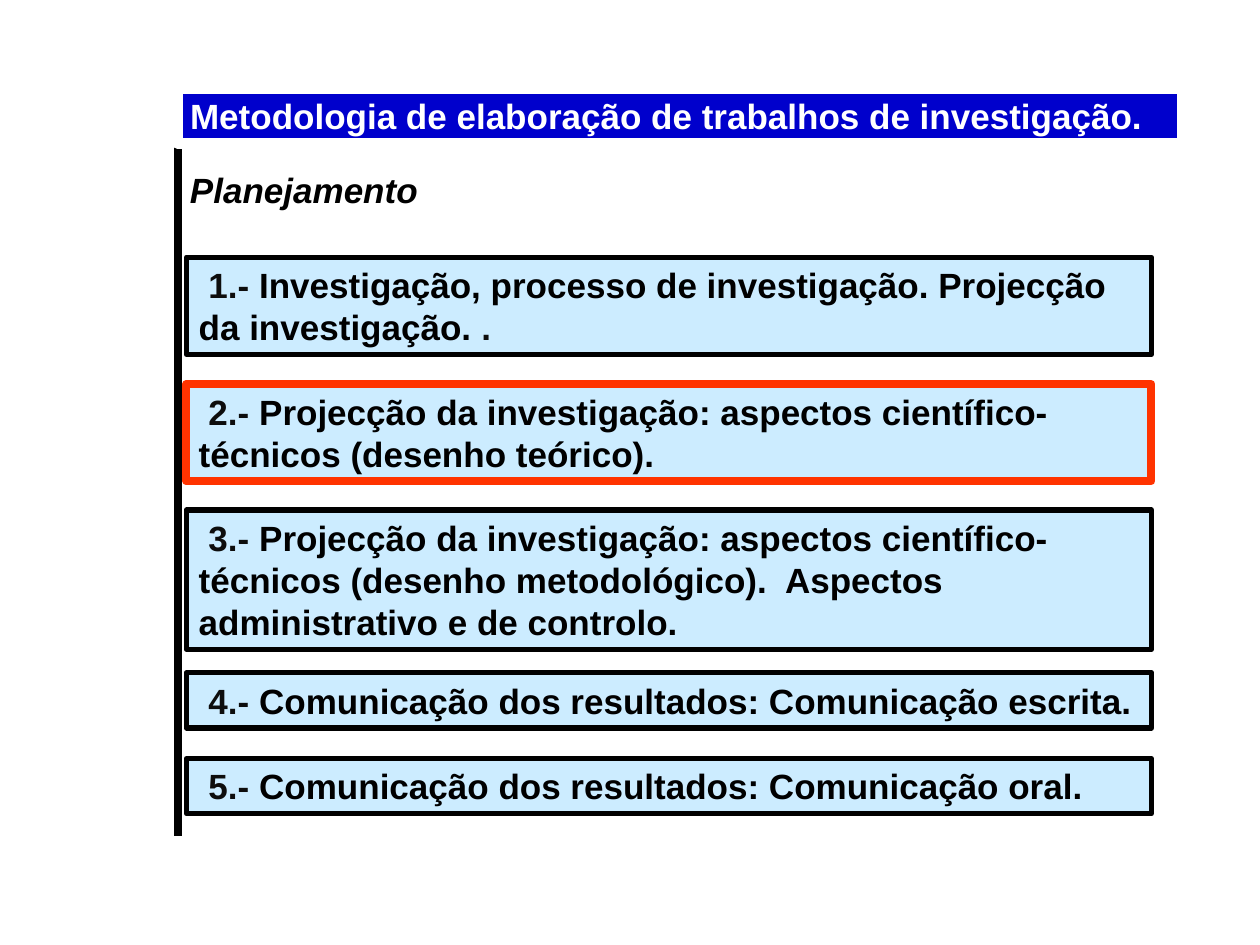
from dataclasses import dataclass

from lxml.etree import SubElement
from pptx import Presentation
from pptx.dml.color import RGBColor
from pptx.enum.shapes import MSO_CONNECTOR, MSO_SHAPE
from pptx.enum.text import MSO_ANCHOR, MSO_AUTO_SIZE, PP_ALIGN
from pptx.oxml.ns import qn
from pptx.util import Pt


@dataclass(frozen=True)
class Theme:
    font: str = "Arial"
    text_size: float = 20
    black: str = "000000"
    number: str = "0D0D0D"
    white: str = "FFFFFF"
    banner: str = "0000CC"
    topic: str = "CCECFF"
    highlight: str = "FF3300"
    topic_border: float = 3
    strong_border: float = 4.5
    banner_border: float = 6


def color(value):
    return RGBColor.from_string(value)


def write_text(shape, runs, theme, italic=False, anchor=MSO_ANCHOR.TOP, wrap=True):
    """Fill the shape with one bold paragraph made of (text, color) runs."""
    frame = shape.text_frame
    frame.word_wrap = wrap
    frame.auto_size = MSO_AUTO_SIZE.SHAPE_TO_FIT_TEXT
    frame.vertical_anchor = anchor
    paragraph = frame.paragraphs[0]
    paragraph.alignment = PP_ALIGN.LEFT
    for text, text_color in runs:
        run = paragraph.add_run()
        run.text = text
        run.font.name = theme.font
        run.font.size = Pt(theme.text_size)
        run.font.bold = True
        run.font.italic = italic
        run.font.color.rgb = color(text_color)


class SlideBuilder:
    def __init__(self, slide, theme):
        self.slide = slide
        self.theme = theme

    def box(self, left, top, width, height, border, border_width, fill=None):
        shape = self.slide.shapes.add_shape(
            MSO_SHAPE.RECTANGLE, Pt(left), Pt(top), Pt(width), Pt(height))
        shape.shadow.inherit = False
        if fill:
            shape.fill.solid()
            shape.fill.fore_color.rgb = color(fill)
        else:
            shape.fill.background()
        shape.line.color.rgb = color(border)
        shape.line.width = Pt(border_width)
        return shape

    def topic(self, left, top, width, height, runs):
        theme = self.theme
        shape = self.box(left, top, width, height, theme.black,
                         theme.topic_border, theme.topic)
        write_text(shape, runs, theme)

    def banner(self, left, top, width, height, text):
        theme = self.theme
        shape = self.box(left, top, width, height, theme.white,
                         theme.banner_border, theme.banner)
        write_text(shape, [(text, theme.white)], theme, anchor=MSO_ANCHOR.MIDDLE)

    def label(self, left, top, width, height, text):
        shape = self.slide.shapes.add_textbox(Pt(left), Pt(top), Pt(width), Pt(height))
        write_text(shape, [(text, self.theme.black)], self.theme, italic=True, wrap=False)

    def vertical_line(self, x, top, bottom):
        line = self.slide.shapes.add_connector(
            MSO_CONNECTOR.STRAIGHT, Pt(x), Pt(top), Pt(x), Pt(bottom))
        line.line.color.rgb = color(self.theme.black)
        line.line.width = Pt(self.theme.strong_border)
        SubElement(line._element.spPr, qn("a:effectLst"))


def main():
    presentation = Presentation()
    presentation.slide_width = Pt(720)
    presentation.slide_height = Pt(540)
    theme = Theme()
    builder = SlideBuilder(
        presentation.slides.add_slide(presentation.slide_layouts[6]), theme)

    margin, topic_left, topic_width = 101.5, 106.5, 551.5
    padding, line_height = 7.5, 24
    one_line = padding + line_height

    # Top edge, number of text lines, text, closing mark
    topics = [
        (147, 2, "Investigação, processo de investigação. Projecção da investigação. ", "."),
        (219.5, 2, "Projecção da investigação: aspectos científico-técnicos "
                   "(desenho teórico).", ""),
        (291.5, 3, "Projecção da investigação: aspectos científico-técnicos "
                   "(desenho metodológico).  Aspectos administrativo e de controlo.", ""),
        (384.5, 1, "Comunicação dos resultados: Comunicação escrita.", ""),
        (433.5, 1, "Comunicação dos resultados: Comunicação oral.", ""),
    ]
    for number, (top, lines, text, mark) in enumerate(topics, start=1):
        runs = [(f" {number}.- ", theme.number), (text, theme.black)]
        if mark:
            runs.append((mark, theme.number))
        builder.topic(topic_left, top, topic_width, padding + lines * line_height, runs)

    builder.vertical_line(margin, 68.5, 478)
    builder.banner(margin, 50.5, 574, one_line,
                   "Metodologia de elaboração de trabalhos de investigação.")
    builder.label(margin, 92.5, 152, one_line, "Planejamento")

    current_top, current_lines = topics[1][:2]
    builder.box(topic_left, current_top, topic_width,
                padding + current_lines * line_height,
                theme.highlight, theme.strong_border)

    presentation.save("out.pptx")


if __name__ == "__main__":
    main()
